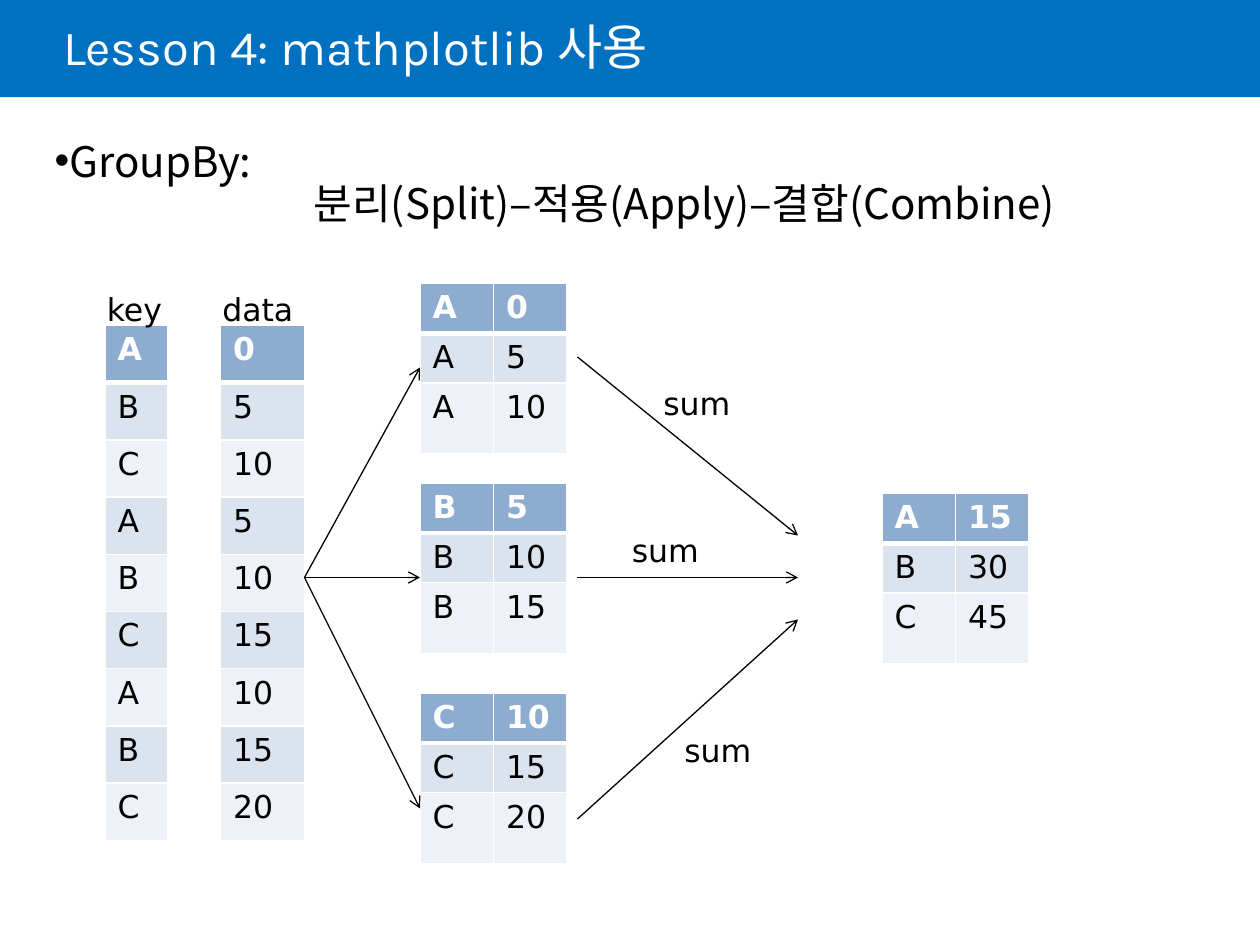
from lxml.etree import SubElement
from pptx import Presentation
from pptx.dml.color import RGBColor
from pptx.enum.shapes import MSO_CONNECTOR, MSO_SHAPE
from pptx.enum.text import MSO_ANCHOR, MSO_AUTO_SIZE, PP_ALIGN
from pptx.oxml.ns import qn
from pptx.util import Pt

TITLE = "Lesson 4: mathplotlib 사용"
TOPIC = "GroupBy:"
STEPS = "분리(Split)–적용(Apply)–결합(Combine)"

KEYS = ["A", "B", "C"] * 3
DATA = [0, 5, 10, 5, 10, 15, 10, 15, 20]
GROUPS = {key: [(k, d) for k, d in zip(KEYS, DATA) if k == key] for key in "ABC"}
SUMS = [(key, sum(d for _, d in rows)) for key, rows in GROUPS.items()]

# Left, top, column width
KEY_COLUMN = (60, 186, 36)
DATA_COLUMN = (126, 186, 48)
GROUP_LEFT, GROUP_TOPS = 240, [162, 276, 396]
SUM_TABLE = (504, 282)
PAIR_WIDTH = 42
LONG_ROW = 32.7
PAIR_ROWS = [28.5, 28.5, 40.5]

HUB = (174, 330)
SPLIT_ENDS = [(240, 210), (240, 330), (240, 462)]
SUM_ARROWS = [((330, 204), (456, 306)), ((330, 330), (456, 330)), ((330, 468), (456, 354))]
# Text, left, top, width
LABELS = [("key", 54, 162, 47), ("data", 120, 162, 55),
          ("sum", 372, 216, 53), ("sum", 354, 300, 53), ("sum", 384, 414, 53)]

BLUE, WHITE, BLACK = "0070C0", "FFFFFF", "000000"
HEADER_FILL, BAND_FILLS = "8DACD0", ["EEF1F7", "DBE3EE"]
HEADING_FONT, KOREAN_FONT, LABEL_FONT = "Karla", "Noto Sans CJK KR", "DejaVu Sans"


def color(hex_value):
    return RGBColor.from_string(hex_value)


def style(paragraph, font_name, size, hex_value, bold=False):
    for run in paragraph.runs:
        font = run.font
        font.name, font.size, font.bold = font_name, Pt(size), bold
        font.color.rgb = color(hex_value)
        SubElement(run._r.get_or_add_rPr(), qn("a:ea"), typeface=KOREAN_FONT)


def place(shape, left, top, width, height):
    shape.left, shape.top, shape.width, shape.height = map(Pt, (left, top, width, height))


def add_border(cell, side, width):
    line = SubElement(cell._tc.get_or_add_tcPr(), qn(f"a:ln{side}"), w=str(Pt(width)))
    fill = SubElement(line, qn("a:solidFill"))
    SubElement(fill, qn("a:srgbClr"), val=WHITE)


def add_data_table(slide, rows, left, top, column_width, row_heights):
    """Add a table whose first row is the header and whose other rows alternate."""
    column_count = len(rows[0])
    table = slide.shapes.add_table(
        len(rows), column_count, Pt(left), Pt(top),
        Pt(column_width * column_count), Pt(sum(row_heights))).table
    for column in table.columns:
        column.width = Pt(column_width)
    for r, (values, height) in enumerate(zip(rows, row_heights)):
        table.rows[r].height = Pt(height)
        header = r == 0
        for c, value in enumerate(values):
            cell = table.cell(r, c)
            cell.text_frame.text = str(value)
            style(cell.text_frame.paragraphs[0], LABEL_FONT, 18,
                  WHITE if header else BLACK, header)
            for side in "LR":
                add_border(cell, side, 1)
            add_border(cell, "T", 3 if r == 1 else 1)
            add_border(cell, "B", 3 if header else 1)
            cell.fill.solid()
            cell.fill.fore_color.rgb = color(HEADER_FILL if header else BAND_FILLS[r % 2])


def add_arrow(slide, start, end):
    arrow = slide.shapes.add_connector(MSO_CONNECTOR.STRAIGHT, *map(Pt, start + end))
    arrow.line.color.rgb = color(BLACK)
    arrow.line.width = Pt(0.75)
    SubElement(arrow.line._get_or_add_ln(), qn("a:tailEnd"), type="arrow")
    SubElement(arrow._element.spPr, qn("a:effectLst"))


def add_label(slide, text, left, top, width):
    label = slide.shapes.add_textbox(Pt(left), Pt(top), Pt(width), Pt(29))
    label.text_frame.word_wrap = False
    label.text_frame.text = text
    style(label.text_frame.paragraphs[0], LABEL_FONT, 18, BLACK)


def add_heading(slide):
    band = slide.shapes.add_shape(MSO_SHAPE.RECTANGLE, 0, 0, Pt(720), Pt(55.5))
    band.shadow.inherit = False
    band.fill.solid()
    band.fill.fore_color.rgb = color(BLUE)
    band.line.fill.background()
    slide.shapes._spTree.insert(2, band._element)

    title = slide.shapes.title
    place(title, 36, 0, 612, 58)
    frame = title.text_frame
    frame.text = TITLE
    frame.margin_left = 0
    frame.vertical_anchor = MSO_ANCHOR.MIDDLE
    frame.auto_size = MSO_AUTO_SIZE.NONE
    paragraph = frame.paragraphs[0]
    paragraph.alignment = PP_ALIGN.LEFT
    paragraph.line_spacing = 0.85
    style(paragraph, HEADING_FONT, 28, WHITE)


def add_topic(slide):
    body = slide.placeholders[1]
    place(body, 24, 78, 654, 65.5)
    frame = body.text_frame
    frame.auto_size = MSO_AUTO_SIZE.NONE
    frame.text = TOPIC
    frame.add_paragraph().text = STEPS
    for paragraph, indent, bullet in zip(frame.paragraphs, (0, 148), ("•", None)):
        paragraph.line_spacing = 0.85
        paragraph.space_before = Pt(0)
        properties = paragraph._p.get_or_add_pPr()
        properties.set("marL", str(Pt(indent)))
        properties.set("indent", "0")
        if bullet:
            SubElement(properties, qn("a:buChar"), char=bullet)
        else:
            SubElement(properties, qn("a:buNone"))
        style(paragraph, KOREAN_FONT, 24, BLACK)


def main():
    presentation = Presentation()
    presentation.slide_width, presentation.slide_height = Pt(720), Pt(540)
    slide = presentation.slides.add_slide(presentation.slide_layouts[1])
    add_heading(slide)
    add_topic(slide)

    for values, position in ((KEYS, KEY_COLUMN), (DATA, DATA_COLUMN)):
        add_data_table(slide, [[value] for value in values], *position,
                       [LONG_ROW] * len(values))
    for rows, top in zip(GROUPS.values(), GROUP_TOPS):
        add_data_table(slide, rows, GROUP_LEFT, top, PAIR_WIDTH, PAIR_ROWS)
    add_data_table(slide, SUMS, *SUM_TABLE, PAIR_WIDTH, PAIR_ROWS)

    for start, end in [(HUB, end) for end in SPLIT_ENDS] + SUM_ARROWS:
        add_arrow(slide, start, end)
    for label in LABELS:
        add_label(slide, *label)
    presentation.save("out.pptx")


if __name__ == "__main__":
    main()
